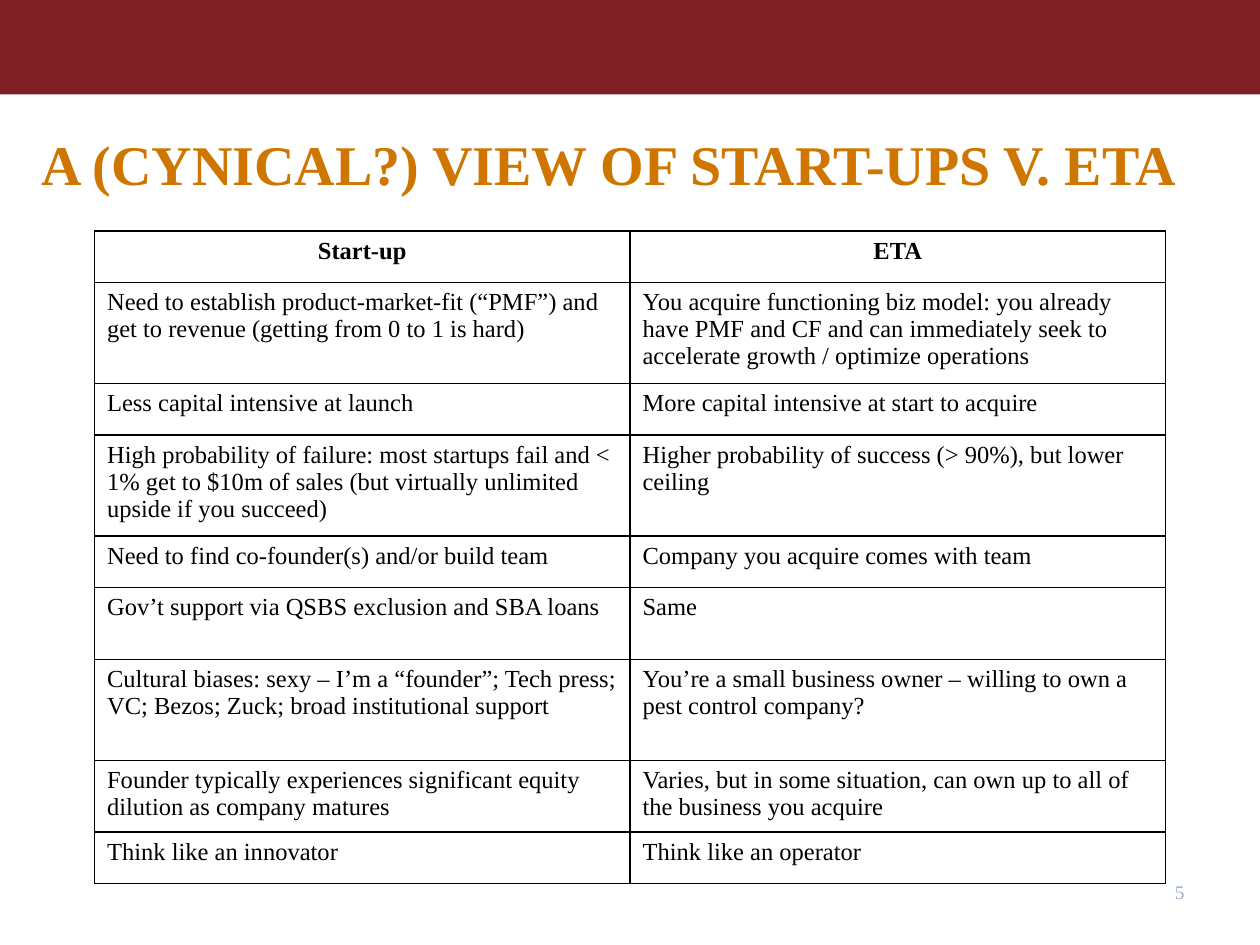
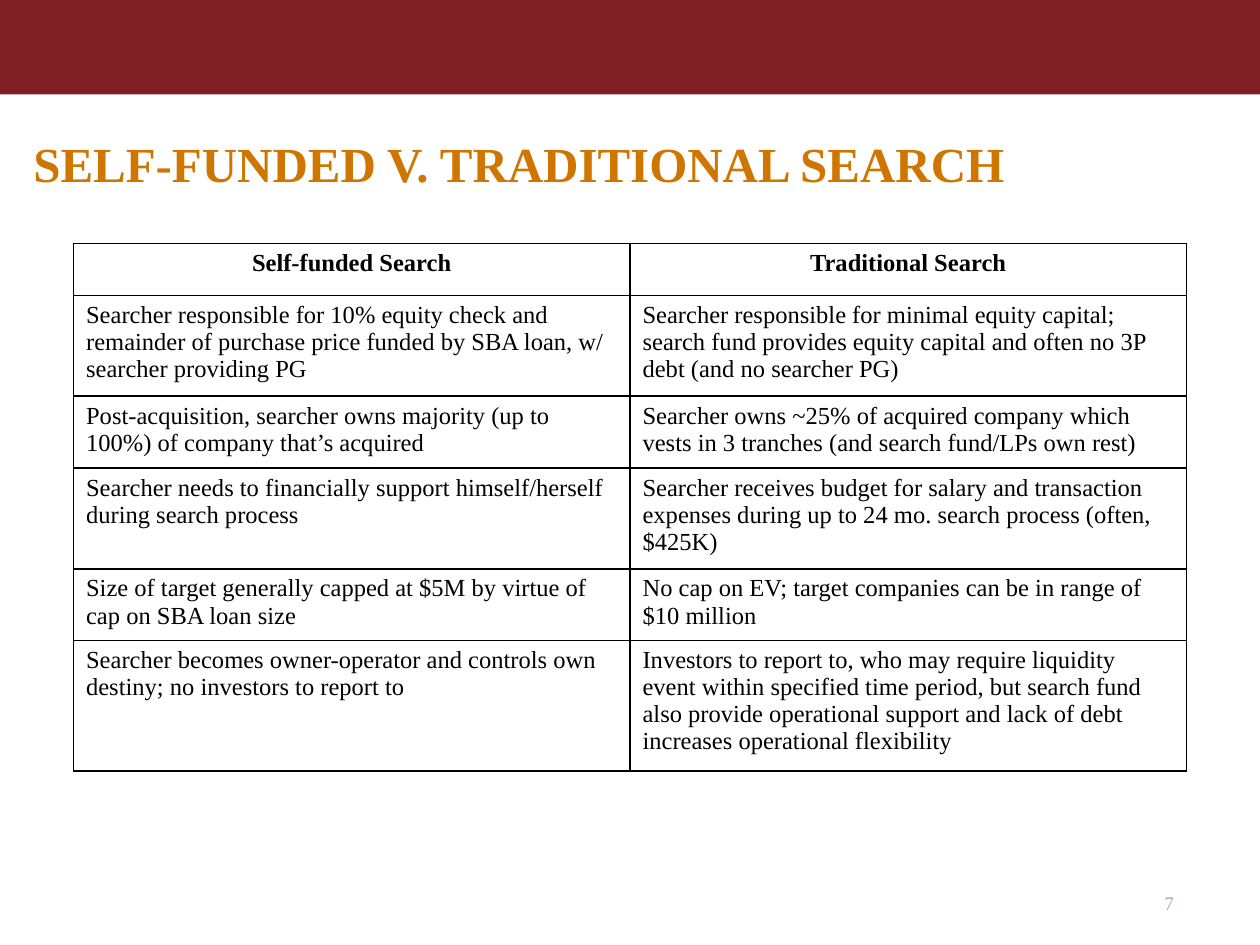
from lxml.etree import SubElement
from pptx import Presentation
from pptx.dml.color import RGBColor
from pptx.enum.shapes import MSO_SHAPE as Shape
from pptx.enum.text import MSO_ANCHOR as Anchor, PP_ALIGN as Align
from pptx.oxml.ns import qn
from pptx.util import Inches, Pt

COLORS = {
    "band": "801E25",
    "title": "CF7600",
    "number": "9BAFC4",
    "ink": "000000",
    "paper": "FFFFFF",
}
FONT = "Times New Roman"
COLUMNS, ROWS = 120, 90
ROW_HEIGHTS = {1: 0.41, 2: 0.57, 3: 0.8, 4: 1.03}

STARTUP_ROWS = [
    (1, "Start-up", "ETA"),
    (3, "Need to establish product-market-fit (“PMF”) and get to revenue (getting from 0 to 1 is hard)",
     "You acquire functioning biz model: you already have PMF and CF and can immediately seek to "
     "accelerate growth / optimize operations"),
    (1, "Less capital intensive at launch", "More capital intensive at start to acquire"),
    (3, "High probability of failure: most startups fail and < 1% get to $10m of sales "
     "(but virtually unlimited upside if you succeed)",
     "Higher probability of success (> 90%), but lower ceiling"),
    (1, "Need to find co-founder(s) and/or build team", "Company you acquire comes with team"),
    (2, "Gov’t support via QSBS exclusion and SBA loans", "Same"),
    (3, "Cultural biases: sexy – I’m a “founder”; Tech press; VC; Bezos; Zuck; broad institutional support",
     "You’re a small business owner – willing to own a pest control company?"),
    (2, "Founder typically experiences significant equity dilution as company matures",
     "Varies, but in some situation, can own up to all of the business you acquire"),
    (1, "Think like an innovator", "Think like an operator"),
]

SEARCH_ROWS = [
    (1, "Self-funded Search", "Traditional Search"),
    (3, "Searcher responsible for 10% equity check and remainder of purchase price funded by SBA loan, "
     "w/ searcher providing PG",
     "Searcher responsible for minimal equity capital; search fund provides equity capital and often "
     "no 3P debt (and no searcher PG)"),
    (2, "Post-acquisition, searcher owns majority (up to 100%) of company that’s acquired",
     "Searcher owns ~25% of acquired company which vests in 3 tranches (and search fund/LPs own rest)"),
    (3, "Searcher needs to financially support himself/herself during search process",
     "Searcher receives budget for salary and transaction expenses during up to 24 mo. search process "
     "(often, $425K)"),
    (2, "Size of target generally capped at $5M by virtue of cap on SBA loan size",
     "No cap on EV; target companies can be in range of $10 million"),
    (4, "Searcher becomes owner-operator and controls own destiny; no investors to report to",
     "Investors to report to, who may require liquidity event within specified time period, but search "
     "fund also provide operational support and lack of debt increases operational flexibility"),
]


class Deck:
    def __init__(self):
        self.presentation = Presentation()
        self.presentation.slide_width = Inches(10)
        self.presentation.slide_height = Inches(7.5)
        self.slide = None

    def place(self, left, top, width, height):
        column = self.presentation.slide_width / COLUMNS
        row = self.presentation.slide_height / ROWS
        return [round(length) for length in (left * column, top * row, width * column, height * row)]

    def add_slide(self):
        self.slide = self.presentation.slides.add_slide(self.presentation.slide_layouts[6])
        self.band()

    def band(self):
        shape = self.slide.shapes.add_shape(Shape.RECTANGLE, *self.place(0, 0, COLUMNS, 9))
        shape.shadow.inherit = False
        shape.fill.solid()
        shape.fill.fore_color.rgb = RGBColor.from_string(COLORS["band"])
        shape.line.fill.background()

    def set_text(self, text_frame, text, size, color, align, bold=False):
        text_frame.text = text
        text_frame.word_wrap = True
        paragraph = text_frame.paragraphs[0]
        paragraph.alignment = align
        for run in paragraph.runs:
            run.font.name = FONT
            run.font.size = Pt(size)
            run.font.bold = bold
            run.font.color.rgb = RGBColor.from_string(COLORS[color])

    def title(self, text, left, size, align):
        box = self.slide.shapes.add_textbox(*self.place(left, 8, COLUMNS, 15))
        box.text_frame.vertical_anchor = Anchor.MIDDLE
        self.set_text(box.text_frame, text, size, "title", align, bold=True)

    def page_number(self, number, left, top):
        box = self.slide.shapes.add_textbox(*self.place(left, top, 25, 6))
        box.text_frame.vertical_anchor = Anchor.BOTTOM
        box.text_frame.margin_bottom = Inches(0.08)
        self.set_text(box.text_frame, str(number), 11, "number", Align.RIGHT)

    def cell_border(self, cell):
        properties = cell._tc.get_or_add_tcPr()
        for position, side in enumerate(("lnL", "lnR", "lnT", "lnB")):
            line = SubElement(properties, qn(f"a:{side}"), w=str(Pt(1)))
            fill = SubElement(line, qn("a:solidFill"))
            SubElement(fill, qn("a:srgbClr"), val=COLORS["ink"])
            properties.insert(position, line)

    def comparison(self, rows, left, top, width):
        heights = [Inches(ROW_HEIGHTS[lines]) for lines, *_ in rows]
        x, y, full_width, _ = self.place(left, top, width, 0)
        frame = self.slide.shapes.add_table(len(rows), 2, x, y, full_width, sum(heights))
        table = frame.table
        table.first_row = table.horz_banding = False
        for index, (_, *texts) in enumerate(rows):
            table.rows[index].height = heights[index]
            heading = index == 0
            for column, text in enumerate(texts):
                cell = table.cell(index, column)
                cell.fill.solid()
                cell.fill.fore_color.rgb = RGBColor.from_string(COLORS["paper"])
                self.cell_border(cell)
                align = Align.CENTER if heading else Align.LEFT
                self.set_text(cell.text_frame, text, 14, "ink", align, bold=heading)


def main():
    deck = Deck()

    deck.add_slide()
    deck.title("A (CYNICAL?) VIEW OF START-UPS V. ETA", -2, 32, Align.CENTER)
    deck.page_number(5, 89, 81)
    deck.comparison(STARTUP_ROWS, 9, 22, 102)

    deck.add_slide()
    deck.title("SELF-FUNDED V. TRADITIONAL SEARCH", 2, 28, Align.LEFT)
    deck.page_number(7, 88, 82)
    deck.comparison(SEARCH_ROWS, 7, 23.2, 106)

    deck.presentation.save("out.pptx")


if __name__ == "__main__":
    main()
